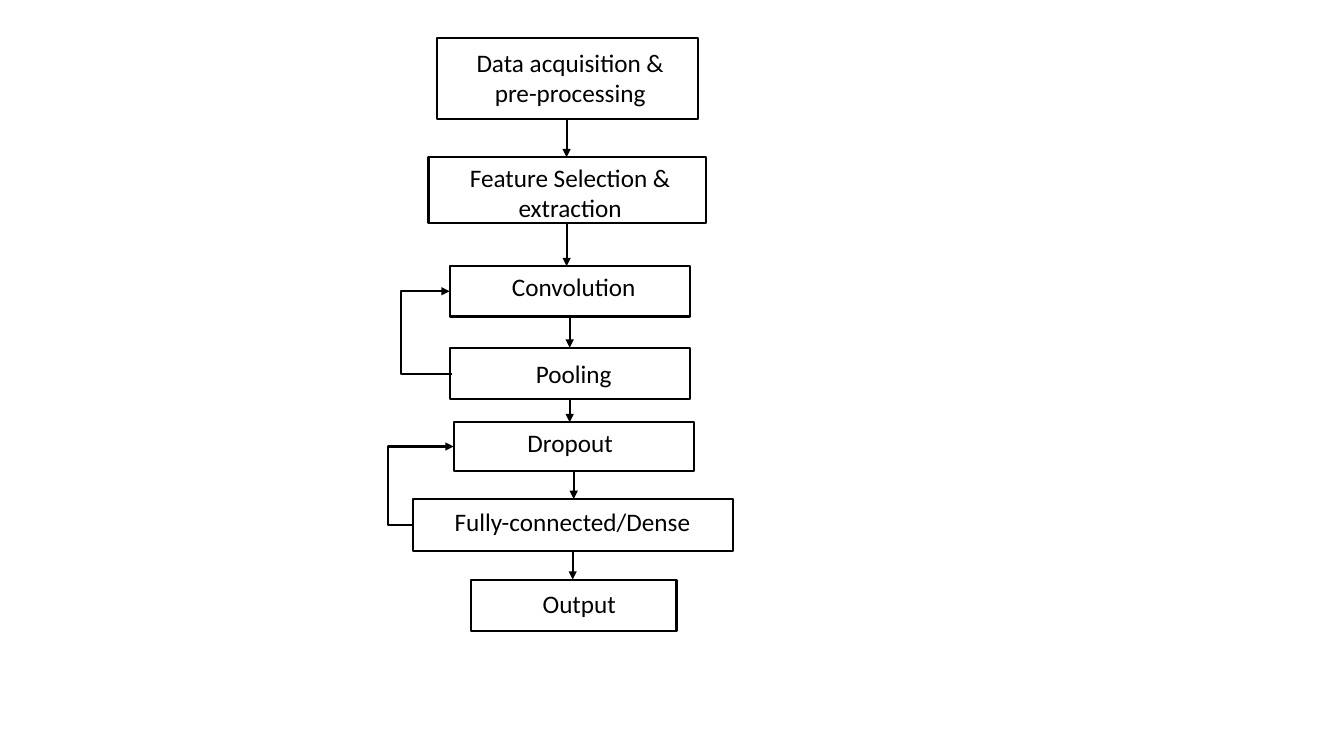
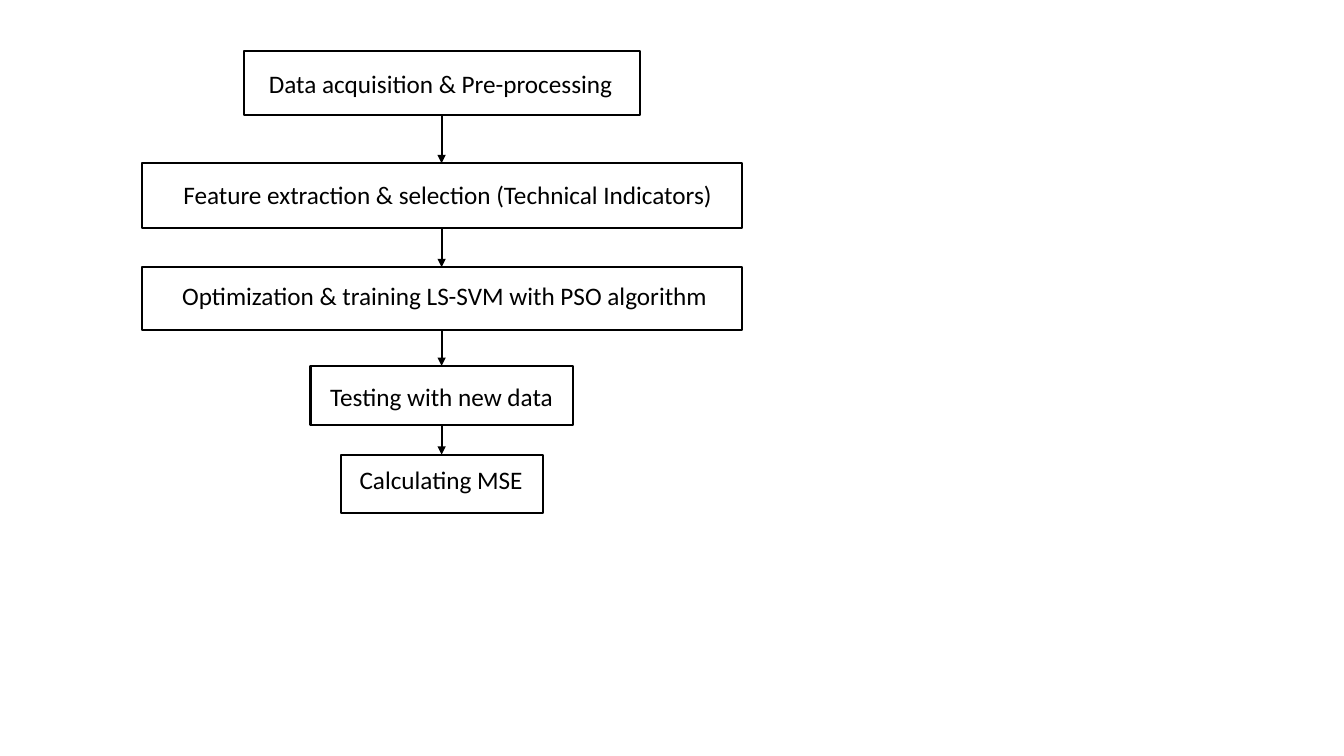
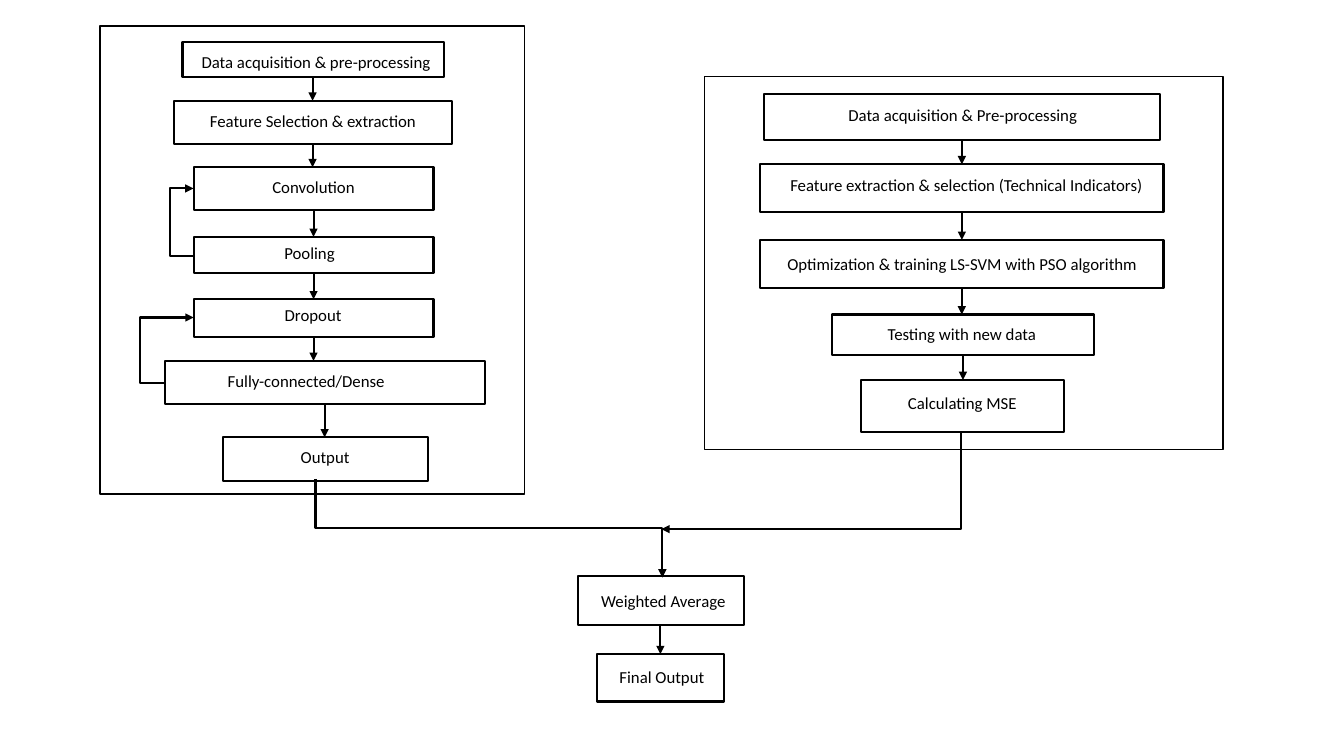
from pptx import Presentation
from pptx.dml.color import RGBColor
from pptx.enum.shapes import MSO_CONNECTOR, MSO_SHAPE
from pptx.enum.text import MSO_AUTO_SIZE, PP_ALIGN
from pptx.oxml.ns import qn
from pptx.util import Emu, Pt
from lxml import etree

RECT = MSO_SHAPE.RECTANGLE
STRAIGHT, ELBOW = MSO_CONNECTOR.STRAIGHT, MSO_CONNECTOR.ELBOW
LEFT, CENTER = PP_ALIGN.LEFT, PP_ALIGN.CENTER
FIT_SHAPE = MSO_AUTO_SIZE.SHAPE_TO_FIT_TEXT

PX = 9144  # EMU per px, 100 px to the inch
COLORS = {"ink": "000000"}
FONT = "Calibri"


def px(*lengths):
    return [Emu(n * PX) for n in lengths]


class Deck:
    """Style of the flowcharts and the slide being drawn."""

    def __init__(self, width, height):
        self.prs = Presentation()
        self.prs.slide_width, self.prs.slide_height = px(width, height)
        self.ink = RGBColor.from_string(COLORS["ink"])

    def new_slide(self, text_size):
        self.s = self.prs.slides.add_slide(self.prs.slide_layouts[6])
        self.text_size = text_size

    def outline(self, line, weight):
        line.color.rgb = self.ink
        line.width = Pt(weight)

    def box(self, at, weight=1.5):
        sp = self.s.shapes.add_shape(RECT, *px(*at))
        sp.shadow.inherit = False
        sp.fill.background()
        self.outline(sp.line, weight)

    def label(self, at, text, align=CENTER):
        tf = self.s.shapes.add_textbox(*px(*at)).text_frame
        tf.word_wrap = True
        tf.auto_size = FIT_SHAPE
        p = tf.paragraphs[0]
        p.text = text
        p.alignment = align
        font = p.runs[0].font
        font.name, font.size = FONT, Pt(self.text_size)
        font.color.rgb = self.ink

    def arrow(self, start, end, kind=STRAIGHT):
        c = self.s.shapes.add_connector(kind, *px(*start, *end))
        self.outline(c.line, 1.5)
        props = c.element.spPr
        etree.SubElement(props.find(qn("a:ln")), qn("a:tailEnd"), type="triangle")
        etree.SubElement(props, qn("a:effectLst"))
        return c

    def side_elbow(self, start, end, turn_x):
        """Arrow that runs sideways to turn_x, then vertically, then sideways."""
        c = self.arrow(start, end, ELBOW)
        ratio = (turn_x - start[0]) / (end[0] - start[0])
        guides = c.element.spPr.find(qn("a:prstGeom")).find(qn("a:avLst"))
        etree.SubElement(guides, qn("a:gd"), name="adj1",
                         fmla=f"val {round(ratio * 100000)}")

    def down_elbow(self, start, end):
        """Arrow that runs down, across and down: an elbow turned by 270 degrees."""
        (x1, y1), (x2, y2) = start, end
        mid_x, mid_y = (x1 + x2) // 2, (y1 + y2) // 2
        half_w, half_h = (x2 - x1) // 2, (y2 - y1) // 2
        c = self.arrow((mid_x + half_h, mid_y - half_w),
                       (mid_x - half_h, mid_y + half_w), ELBOW)
        c.rotation = 270

    def flow(self, steps):
        """Boxes with labels, each joined to the next by an arrow."""
        for box, label_at, text, *align in steps:
            self.box(box)
            self.label(label_at, text, *align)
        for (upper, *_), (lower, *_) in zip(steps, steps[1:]):
            x = upper[0] + upper[2] // 2
            self.arrow((x, upper[1] + upper[3]), (x, lower[1]))


def network_slide(deck):
    deck.new_slide(18)
    deck.flow([
        ((433, 38, 259, 80), (441, 42, 249, 71), "Data acquisition & pre-processing"),
        ((425, 156, 275, 65), (432, 156, 267, 71), "Feature Selection & extraction"),
        ((446, 264, 238, 50), (454, 264, 230, 40), "Convolution"),
        ((446, 345, 238, 51), (454, 351, 230, 40), "Pooling"),
        ((450, 419, 238, 48), (458, 419, 215, 40), "Dropout"),
        ((410, 495, 317, 52), (441, 497, 269, 40), "Fully-connected/Dense", LEFT),
        ((467, 575, 204, 51), (484, 579, 181, 40), "Output"),
    ])
    deck.side_elbow((448, 371), (446, 289), 398)
    deck.side_elbow((410, 521), (450, 443), 385)


def svm_slide(deck):
    deck.new_slide(18)
    deck.flow([
        ((242, 51, 393, 63), (132, 63, 610, 40), "Data acquisition & Pre-processing"),
        ((141, 162, 595, 64), (172, 173, 553, 40),
         "Feature extraction & selection (Technical Indicators)", LEFT),
        ((141, 265, 595, 62), (157, 273, 568, 40),
         "Optimization & training LS-SVM with PSO algorithm"),
        ((308, 363, 260, 59), (238, 373, 400, 40), "Testing with new data"),
        ((338, 451, 201, 58), (204, 456, 467, 42), "Calculating MSE"),
    ])


def combined_slide(deck):
    deck.new_slide(12)
    # Network branch
    deck.flow([
        ((181, 42, 259, 34), (189, 46, 249, 30), "Data acquisition & pre-processing"),
        ((173, 100, 275, 43), (177, 105, 267, 30), "Feature Selection & extraction"),
        ((192, 166, 238, 42), (196, 170, 230, 30), "Convolution"),
        ((192, 235, 238, 36), (192, 236, 230, 30), "Pooling"),
        ((192, 297, 238, 37), (203, 297, 215, 30), "Dropout"),
        ((164, 358, 317, 43), (216, 363, 269, 30), "Fully-connected/Dense", LEFT),
        ((221, 434, 204, 43), (232, 438, 181, 30), "Output"),
    ])
    deck.side_elbow((193, 254), (192, 187), 168)
    deck.side_elbow((164, 380), (192, 315), 139)
    # SVM branch
    deck.flow([
        ((758, 93, 393, 46), (650, 99, 610, 30), "Data acquisition & Pre-processing"),
        ((754, 163, 400, 47), (774, 168, 553, 30),
         "Feature extraction & selection (Technical Indicators)", LEFT),
        ((754, 238, 400, 48), (671, 247, 567, 30),
         "Optimization & training LS-SVM with PSO algorithm"),
        ((825, 312, 260, 40), (754, 316, 400, 30), "Testing with new data"),
        ((854, 377, 201, 52), (721, 385, 467, 30), "Calculating MSE"),
    ])
    # Frames around the branches
    for frame in ((99, 26, 421, 464), (699, 76, 514, 370)):
        deck.box(frame, weight=1)
    # Merged result
    deck.flow([
        ((573, 571, 165, 49), (405, 581, 506, 30), "Weighted Average"),
        ((592, 649, 126, 47), (554, 657, 205, 30), "Final Output"),
    ])
    deck.down_elbow((313, 475), (658, 574))
    deck.side_elbow((955, 429), (656, 525), 953)


def main():
    deck = Deck(1333, 750)
    network_slide(deck)
    svm_slide(deck)
    combined_slide(deck)
    deck.prs.save("out.pptx")


if __name__ == "__main__":
    main()
